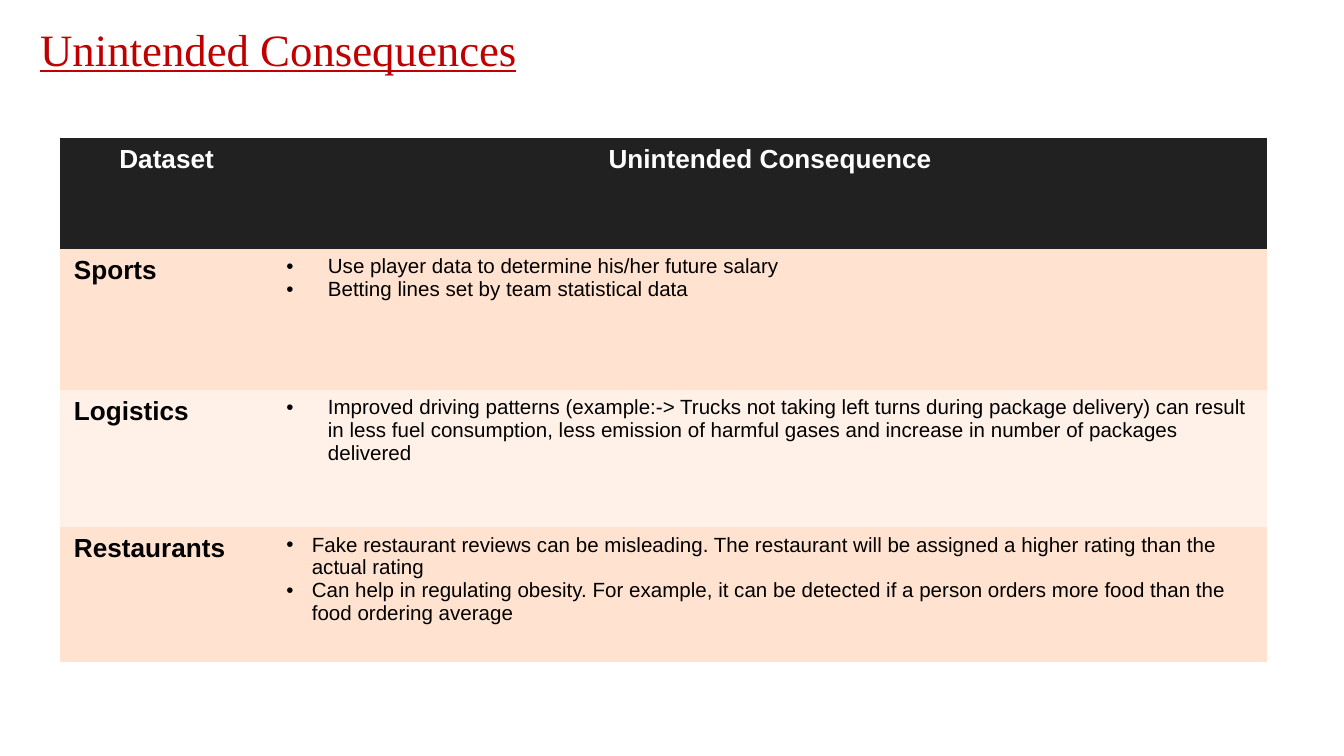
from lxml.etree import SubElement
from pptx import Presentation
from pptx.dml.color import RGBColor
from pptx.enum.text import MSO_ANCHOR, PP_ALIGN
from pptx.oxml.ns import qn
from pptx.util import Inches, Pt

RED = RGBColor(0xC0, 0x00, 0x00)
WHITE = RGBColor(0xFF, 0xFF, 0xFF)
BLACK = RGBColor(0x00, 0x00, 0x00)
CHARCOAL = RGBColor(0x21, 0x21, 0x21)
PEACH = RGBColor(0xFF, 0xE2, 0xCF)
LIGHT_PEACH = RGBColor(0xFF, 0xF1, 0xE8)

HEADINGS = ("Dataset", "Unintended Consequence")
COLUMN_WIDTHS = (1.58, 7.4)
ROW_HEIGHTS = (0.82, 1.05, 1.02, 1.01)

# Dataset name, bullet indent in inches, consequences
DATASETS = (
    ("Sports", 0.31, (
        "Use player data to determine his/her future salary",
        "Betting lines set by team statistical data",
    )),
    ("Logistics", 0.31, (
        "Improved driving patterns (example:-> Trucks not taking left turns "
        "during package delivery) can result in less fuel consumption, less "
        "emission of harmful gases and increase in number of packages delivered",
    )),
    ("Restaurants", 0.19, (
        "Fake restaurant reviews can be misleading. The restaurant will be "
        "assigned a higher rating than the actual rating",
        "Can help in regulating obesity. For example, it can be detected if a "
        "person orders more food than the food ordering average",
    )),
)


def write_text(paragraph, text, size=14, color=BLACK, font="Arial", bold=False,
               underline=False, align=PP_ALIGN.LEFT, bullet_indent=None):
    """Write one formatted run, with a hanging bullet if an indent is given."""
    paragraph.alignment = align
    run = paragraph.add_run()
    run.text = text
    run.font.name = font
    run.font.size = Pt(size)
    run.font.bold = bold
    run.font.underline = underline
    run.font.color.rgb = color
    if bullet_indent is not None:
        properties = paragraph._p.get_or_add_pPr()
        properties.set("marL", str(Inches(bullet_indent)))
        properties.set("indent", str(-Inches(bullet_indent)))
        bullet_color = SubElement(properties, qn("a:buClr"))
        SubElement(bullet_color, qn("a:srgbClr"), val=str(color))
        SubElement(properties, qn("a:buFont"), typeface="Arial")
        SubElement(properties, qn("a:buChar"), char="•")


class SlideBuilder:
    def __init__(self, slide):
        self.slide = slide
        self.header_fill = CHARCOAL
        self.band_fills = (PEACH, LIGHT_PEACH)

    def title(self, text, left, top, width, height):
        shape = self.slide.shapes.add_textbox(
            Inches(left), Inches(top), Inches(width), Inches(height))
        frame = shape.text_frame
        frame.word_wrap = True
        frame.vertical_anchor = MSO_ANCHOR.MIDDLE
        frame.margin_left = frame.margin_right = Inches(0.1)
        frame.margin_top = frame.margin_bottom = Inches(0.1)
        write_text(frame.paragraphs[0], text, size=24, color=RED,
                   font="Times New Roman", underline=True)

    def cell(self, cell, lines, fill, **text_format):
        cell.fill.solid()
        cell.fill.fore_color.rgb = fill
        frame = cell.text_frame
        for index, line in enumerate(lines):
            paragraph = frame.add_paragraph() if index else frame.paragraphs[0]
            write_text(paragraph, line, **text_format)

    def consequence_table(self, left, top):
        shape = self.slide.shapes.add_table(
            len(ROW_HEIGHTS), len(COLUMN_WIDTHS), Inches(left), Inches(top),
            Inches(sum(COLUMN_WIDTHS)), Inches(sum(ROW_HEIGHTS)))
        table = shape.table
        # Plain "No Style, No Grid" table style, so that no borders show
        style = table._tbl.tblPr.find(qn("a:tableStyleId"))
        style.text = "{2D5ABB26-0587-4C30-8999-92F81FD0307C}"
        for column, width in zip(table.columns, COLUMN_WIDTHS):
            column.width = Inches(width)
        for row, height in zip(table.rows, ROW_HEIGHTS):
            row.height = Inches(height)

        # Header row
        for column, heading in enumerate(HEADINGS):
            self.cell(table.cell(0, column), [heading], self.header_fill,
                      color=WHITE, bold=True, align=PP_ALIGN.CENTER)

        # One banded row for each dataset
        for row, (name, indent, consequences) in enumerate(DATASETS, start=1):
            fill = self.band_fills[(row - 1) % 2]
            self.cell(table.cell(row, 0), [name], fill, bold=True)
            self.cell(table.cell(row, 1), consequences, fill, size=11,
                      bullet_indent=indent)


def main():
    presentation = Presentation()
    # Widescreen 16:9 slide
    presentation.slide_width = Inches(10)
    presentation.slide_height = Inches(10) * 9 // 16
    slide = presentation.slides.add_slide(presentation.slide_layouts[6])
    builder = SlideBuilder(slide)
    builder.title("Unintended Consequences", 0.2, 0.18, 5.21, 0.36)
    builder.consequence_table(0.45, 1.03)
    presentation.save("out.pptx")


if __name__ == "__main__":
    main()
